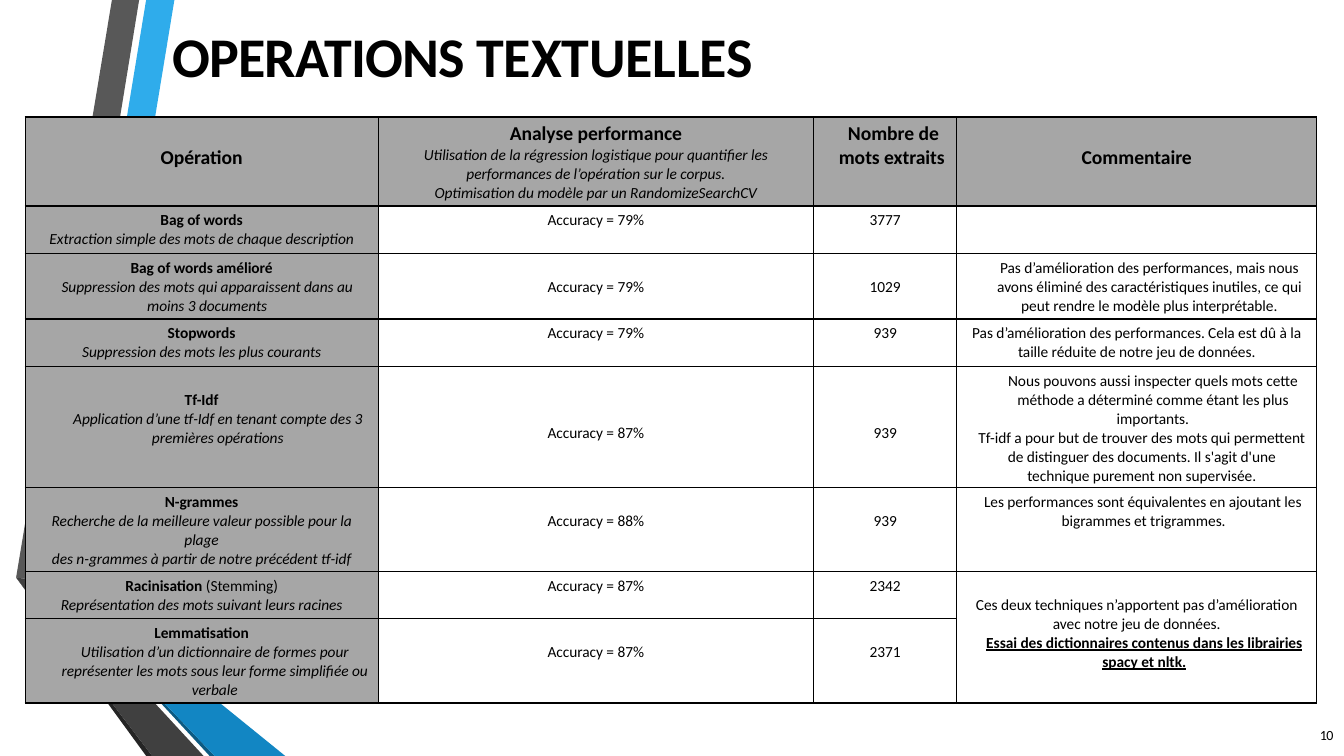
from dataclasses import dataclass
from typing import NamedTuple

from lxml import etree
from pptx import Presentation
from pptx.dml.color import RGBColor
from pptx.enum.text import PP_ALIGN
from pptx.oxml.ns import qn
from pptx.util import Inches, Pt

LEFT, CENTER = PP_ALIGN.LEFT, PP_ALIGN.CENTER
FONT = "Calibri"
COLORS = {
    "text": "000000", "border": "000000", "label": "A6A6A6",
    "sky": "2FACEB", "blue": "1286C3", "navy": "0C5A82",
    "grey": "585858", "dark": "404040", "black": "252525",
}
BORDER_WIDTH = Pt(0.96)
COLUMN_WIDTHS = [3.5, 4.32, 1.42, 3.57]
ROW_HEIGHTS = [0.88, 0.47, 0.65, 0.47, 1.2, 0.65, 0.47, 0.83]
TOP = 0.05  # normal cell margin
ONE_LINE_DOWN = 0.24


class Band(NamedTuple):
    color: str
    points: list[tuple[float, float]]


@dataclass
class Span:
    text: str
    size: float = 11
    bold: bool = False
    italic: bool = False
    underline: bool = False
    spacing: int = -5  # hundredths of a point


@dataclass
class Para:
    spans: list[Span]
    indent: float = 0
    first_line: float = 0
    align: PP_ALIGN = CENTER


@dataclass
class Cell:
    paras: list[Para]
    top: float = TOP


class Operation(NamedTuple):
    label: Cell
    accuracy: int
    words: int
    figures_top: float
    comment: Cell


BANDS = [
    Band("sky", [(1.73, 0), (1.45, 0), (0.5, 5.78), (0.77, 5.83)]),
    Band("grey", [(1.38, 0), (1.11, 0), (0.16, 5.73), (0.44, 5.77)]),
    Band("black", [(0.16, 5.73), (1.45, 7.5), (1.51, 7.5)]),
    Band("navy", [(0.5, 5.79), (2.08, 7.5), (2.13, 7.5)]),
    Band("blue", [(0.5, 5.78), (0.5, 5.79), (2.13, 7.5), (2.83, 7.5), (0.77, 5.83)]),
    Band("dark", [(0.16, 5.73), (1.51, 7.5), (2.02, 7.5), (0.48, 5.83), (0.44, 5.77)]),
]


def plain(text: str, indent: float = 0) -> Para:
    return Para([Span(text)], indent)


def italic(text: str, indent: float = 0) -> Para:
    return Para([Span(text, italic=True)], indent)


def bold(text: str, size: float = 11) -> Para:
    return Para([Span(text, size, bold=True)])


HEADER = [
    Cell([bold("Opération", 14)], 0.29),
    Cell([
        bold("Analyse performance", 14),
        italic("Utilisation de la régression logistique pour quantifier les"),
        italic("performances de l’opération sur le corpus."),
        italic("Optimisation du modèle par un RandomizeSearchCV"),
    ]),
    Cell([Para([Span("Nombre de mots extraits", 14, bold=True)], 0.15, 0.09, LEFT)]),
    Cell([bold("Commentaire", 14)], 0.29),
]
OPERATIONS = [
    Operation(
        Cell([bold("Bag of words"), italic("Extraction simple des mots de chaque description")]),
        79, 3777, TOP, Cell([])),
    Operation(
        Cell([bold("Bag of words amélioré"),
              italic("Suppression des mots qui apparaissent dans au moins 3 documents", 0.11)]),
        79, 1029, ONE_LINE_DOWN,
        Cell([plain("Pas d’amélioration des performances, mais nous avons éliminé des "
                    "caractéristiques inutiles, ce qui peut rendre le modèle plus "
                    "interprétable.", 0.25)])),
    Operation(
        Cell([bold("Stopwords"), italic("Suppression des mots les plus courants")]),
        79, 939, TOP,
        Cell([plain("Pas d’amélioration des performances. Cela est dû à la"),
              plain("taille réduite de notre jeu de données.")])),
    Operation(
        Cell([bold("Tf-Idf"),
              italic("Application d’une tf-Idf en tenant compte des 3 premières opérations", 0.32)],
             ONE_LINE_DOWN),
        87, 939, 0.57,
        Cell([plain("Nous pouvons aussi inspecter quels mots cette méthode a déterminé "
                    "comme étant les plus importants.", 0.32),
              plain("Tf-idf a pour but de trouver des mots qui permettent de distinguer des "
                    "documents. Il s'agit d'une technique purement non supervisée.", 0.1)])),
    Operation(
        Cell([bold("N-grammes"),
              italic("Recherche de la meilleure valeur possible pour la plage"),
              italic("des n-grammes à partir de notre précédent tf-idf")]),
        88, 939, ONE_LINE_DOWN,
        Cell([Para([Span("Les performances sont équivalentes en ajoutant les bigrammes et "
                         "trigrammes.")], 0.94, -0.77, LEFT)])),
    Operation(
        Cell([Para([Span("Racinisation ", bold=True), Span("(Stemming)")]),
              italic("Représentation des mots suivant leurs racines")]),
        87, 2342, TOP,
        Cell([plain("Ces deux techniques n’apportent pas d’amélioration"),
              plain("avec notre jeu de données."),
              Para([Span("Essai des dictionnaires contenus dans les librairies spacy et nltk.",
                         bold=True, underline=True)], 0.15)],
             ONE_LINE_DOWN)),
    Operation(
        Cell([bold("Lemmatisation"),
              italic("Utilisation d’un dictionnaire de formes pour représenter les mots sous "
                     "leur forme simplifiée ou verbale", 0.26)]),
        87, 2371, ONE_LINE_DOWN, Cell([])),
]


def write_paras(frame, paras: list[Para]) -> None:
    frame.word_wrap = True
    frame.text = "\n".join(para.spans[0].text for para in paras)
    for paragraph, para in zip(frame.paragraphs, paras):
        paragraph.alignment = para.align
        properties = paragraph._p.get_or_add_pPr()
        properties.set("marL", str(Inches(para.indent)))
        properties.set("indent", str(Inches(para.first_line)))
        for span in para.spans[1:]:
            paragraph.add_run().text = span.text
        for run, span in zip(paragraph.runs, para.spans):
            font = run.font
            font.name, font.size = FONT, Pt(span.size)
            font.bold, font.italic, font.underline = span.bold, span.italic, span.underline
            font.color.rgb = RGBColor.from_string(COLORS["text"])
            run._r.get_or_add_rPr().set("spc", str(span.spacing))


def add_band(page, band: Band) -> None:
    start, *others = [(Inches(x), Inches(y)) for x, y in band.points]
    builder = page.shapes.build_freeform(*start)
    builder.add_line_segments(others, close=True)
    shape = builder.convert_to_shape()
    shape.shadow.inherit = False
    shape.fill.solid()
    shape.fill.fore_color.rgb = RGBColor.from_string(COLORS[band.color])
    shape.line.fill.background()


def add_text(page, left: float, top: float, width: float, height: float, para: Para) -> None:
    box = page.shapes.add_textbox(*map(Inches, (left, top, width, height)))
    frame = box.text_frame
    frame.margin_left = frame.margin_right = frame.margin_bottom = 0
    frame.margin_top = Inches(0.01)
    write_paras(frame, [para])


def draw_cell(target, cell: Cell, is_label: bool) -> None:
    write_paras(target.text_frame, cell.paras)
    target.margin_top = Inches(cell.top)
    properties = target._tc.get_or_add_tcPr()
    for side in ("a:lnL", "a:lnR", "a:lnT", "a:lnB"):
        line = etree.SubElement(properties, qn(side), w=str(BORDER_WIDTH))
        fill = etree.SubElement(line, qn("a:solidFill"))
        etree.SubElement(fill, qn("a:srgbClr"), val=COLORS["border"])
    if is_label:
        target.fill.solid()
        target.fill.fore_color.rgb = RGBColor.from_string(COLORS["label"])
    else:
        target.fill.background()


def add_operations_table(page) -> None:
    rows = [HEADER] + [
        [item.label,
         Cell([plain(f"Accuracy = {item.accuracy}%")], item.figures_top),
         Cell([plain(str(item.words))], item.figures_top),
         item.comment]
        for item in OPERATIONS
    ]
    table = page.shapes.add_table(len(rows), len(COLUMN_WIDTHS), Inches(0.25), Inches(1.16),
                                  Inches(sum(COLUMN_WIDTHS)), Inches(sum(ROW_HEIGHTS))).table
    table.first_row = table.horz_banding = False
    for column, width in zip(table.columns, COLUMN_WIDTHS):
        column.width = Inches(width)
    for row, height in zip(table.rows, ROW_HEIGHTS):
        row.height = Inches(height)
    for r, cells in enumerate(rows):
        for c, cell in enumerate(cells):
            draw_cell(table.cell(r, c), cell, r == 0 or c == 0)
    table.cell(6, 3).merge(table.cell(7, 3))


def main() -> None:
    deck = Presentation()
    deck.slide_width, deck.slide_height = Inches(13.33), Inches(7.5)
    page = deck.slides.add_slide(deck.slide_layouts[6])
    for band in BANDS:
        add_band(page, band)
    add_text(page, 1.71, 0.2, 10.45, 1.26, Para(
        [Span("OPERATIONS ", 40, bold=True, spacing=-60),
         Span("TEXTUELLES", 40, bold=True, spacing=-10)], align=LEFT))
    add_text(page, 13.09, 7.2, 0.2, 0.18, Para([Span("10", 10, spacing=-30)], align=LEFT))
    add_operations_table(page)
    deck.save("out.pptx")


if __name__ == "__main__":
    main()
